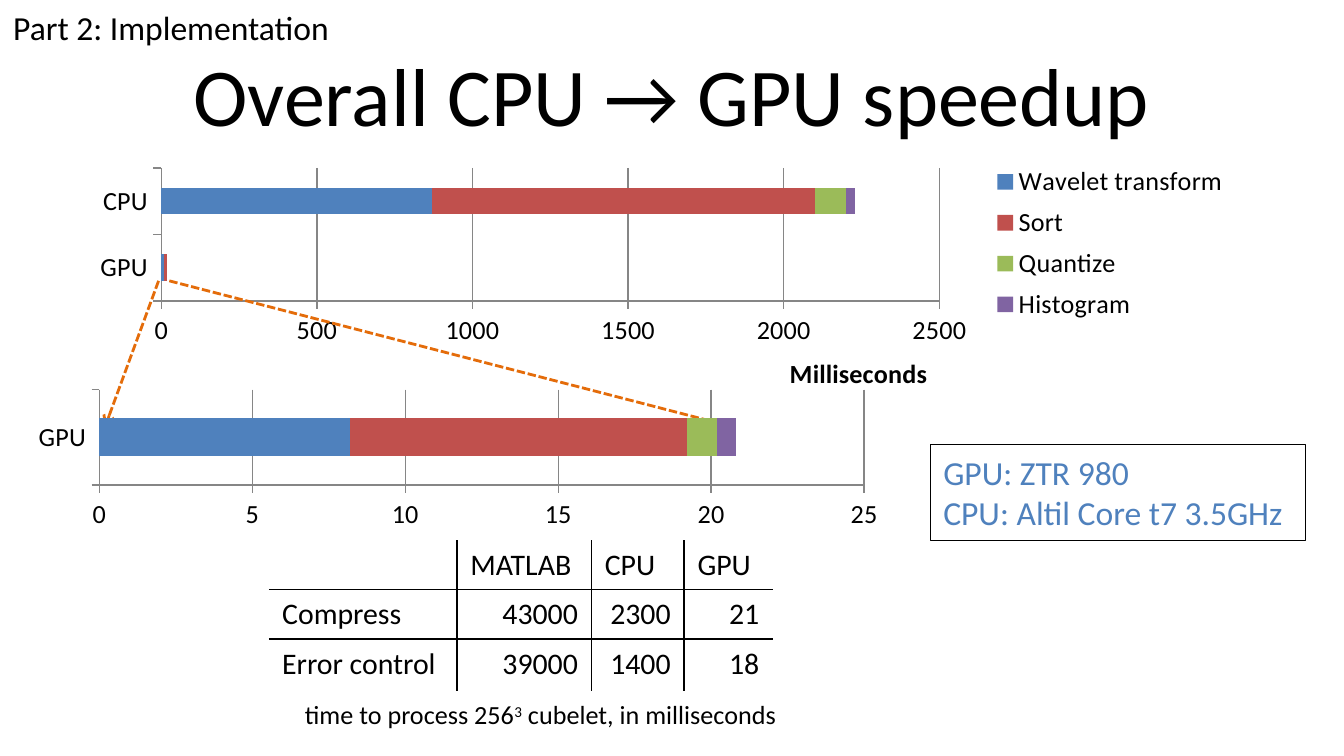
from dataclasses import dataclass

from lxml import etree
from pptx import Presentation
from pptx.chart.data import CategoryChartData
from pptx.dml.color import RGBColor
from pptx.enum.chart import XL_CHART_TYPE, XL_LEGEND_POSITION, XL_TICK_MARK
from pptx.enum.dml import MSO_LINE
from pptx.enum.shapes import MSO_CONNECTOR
from pptx.enum.text import MSO_ANCHOR, MSO_AUTO_SIZE, PP_ALIGN
from pptx.oxml.ns import qn
from pptx.util import Inches, Pt

BAR_STACKED = XL_CHART_TYPE.BAR_STACKED
LEGEND_RIGHT = XL_LEGEND_POSITION.RIGHT
TICK_OUTSIDE = XL_TICK_MARK.OUTSIDE
SQUARE_DOT = MSO_LINE.SQUARE_DOT
STRAIGHT = MSO_CONNECTOR.STRAIGHT
MIDDLE = MSO_ANCHOR.MIDDLE
FIT_SHAPE = MSO_AUTO_SIZE.SHAPE_TO_FIT_TEXT
CENTER, RIGHT = PP_ALIGN.CENTER, PP_ALIGN.RIGHT
FONT = "Calibri"
BLACK = RGBColor(0x00, 0x00, 0x00)
WHITE = RGBColor(0xFF, 0xFF, 0xFF)
GREY = RGBColor(0x86, 0x86, 0x86)
ORANGE = RGBColor(0xE4, 0x6C, 0x0A)
BLUE = RGBColor(0x4F, 0x81, 0xBD)
RED = RGBColor(0xC0, 0x50, 0x4D)
GREEN = RGBColor(0x9B, 0xBB, 0x59)
PURPLE = RGBColor(0x80, 0x64, 0xA2)
SERIES_COLORS = (BLUE, RED, GREEN, PURPLE)


@dataclass
class Box:
    left: float
    top: float
    width: float = 0
    height: float = 0

    def lengths(self) -> tuple:
        return tuple(Inches(n) for n in (self.left, self.top, self.width, self.height))


@dataclass
class BarChart:
    box: Box
    plot: Box
    categories: tuple
    series: dict
    maximum: float
    step: float


STAGES = BarChart(
    Box(0.5, 1.07, 8.82, 1.91), Box(1.2, 1.25, 5.79, 0.99), ("GPU", "CPU"),
    {"Wavelet transform": (10, 870), "Sort": (10, 1230),
     "Quantize": (0, 100), "Histogram": (0, 30)}, 2500, 500)
GPU_DETAIL = BarChart(
    Box(0.17, 2.88, 6.5, 1.09), Box(0.74, 2.9, 5.69, 0.71), ("GPU",),
    {"Series 1": (8.2,), "Series 2": (11,), "Series 3": (1,), "Series 4": (0.6,)}, 25, 5)
LEGEND = Box(7.29, 1.17, 1.94, 1.28)
AXIS_TITLE = Box(5.84, 2.61)
ZOOM_LINES = (((1.26, 2.09), (5.47, 3.18)), ((1.18, 2.09), (0.78, 3.18)))
TIMINGS = (("", "MATLAB", "CPU", "GPU"),
           ("Compress", "43000", "2300", "21"),
           ("Error control", "39000", "1400", "18"))
COLUMN_WIDTHS = (1.4, 1, 0.69, 0.66)
ROW_HEIGHTS = (0.35, 0.35, 0.39)


def style_font(font, size: float, color: RGBColor = BLACK) -> None:
    font.name, font.size, font.color.rgb = FONT, Pt(size), color


def place_part(part, index: int, box: Box, chart_box: Box) -> None:
    """Lay out a chart part at a box given in slide inches."""
    for old in part.findall(qn("c:layout")):
        part.remove(old)
    layout = etree.Element(qn("c:layout"))
    manual = etree.SubElement(layout, qn("c:manualLayout"))
    if part.tag == qn("c:plotArea"):
        etree.SubElement(manual, qn("c:layoutTarget")).set("val", "inner")
    values = {"xMode": "edge", "yMode": "edge",
              "x": (box.left - chart_box.left) / chart_box.width,
              "y": (box.top - chart_box.top) / chart_box.height}
    if box.width:
        values["w"] = box.width / chart_box.width
        values["h"] = box.height / chart_box.height
    for key, value in values.items():
        etree.SubElement(manual, qn(f"c:{key}")).set("val", str(value))
    part.insert(index, layout)


def add_bar_chart(page, spec: BarChart):
    data = CategoryChartData()
    data.categories = spec.categories
    for name, values in spec.series.items():
        data.add_series(name, values)
    chart = page.shapes.add_chart(BAR_STACKED, *spec.box.lengths(), data).chart
    chart.has_title = chart.has_legend = False
    style_font(chart.font, 14)
    bars = chart.plots[0]
    bars.gap_width, bars.overlap, bars.vary_by_categories = 150, 100, False
    for series, color in zip(bars.series, SERIES_COLORS):
        series.format.fill.solid()
        series.format.fill.fore_color.rgb = color
    for axis in (chart.category_axis, chart.value_axis):
        axis.major_tick_mark = TICK_OUTSIDE
        axis.format.line.color.rgb = GREY
        style_font(axis.tick_labels.font, 14)
    scale = chart.value_axis
    scale.minimum_scale, scale.maximum_scale, scale.major_unit = 0, spec.maximum, spec.step
    scale.has_major_gridlines = True
    scale.major_gridlines.format.line.color.rgb = GREY
    place_part(chart.element.find(".//" + qn("c:plotArea")), 0, spec.plot, spec.box)
    return chart


def add_text(page, box: Box, lines: tuple, size: float, color: RGBColor = BLACK):
    shape = page.shapes.add_textbox(*box.lengths())
    frame = shape.text_frame
    frame.text = "\n".join(lines)
    frame.word_wrap, frame.auto_size = False, FIT_SHAPE
    for para in frame.paragraphs:
        for span in para.runs:
            style_font(span.font, size, color)
    return shape


def add_zoom_line(page, start: tuple, end: tuple) -> None:
    line = page.shapes.add_connector(STRAIGHT, *(Inches(n) for n in start + end))
    line.line.color.rgb, line.line.width = ORANGE, Pt(1.5)
    line.line.dash_style = SQUARE_DOT
    etree.SubElement(line.line._get_or_add_ln(), qn("a:tailEnd")).set("type", "arrow")
    etree.SubElement(line.element.spPr, qn("a:effectLst"))


def set_borders(cell, sides: dict) -> None:
    """Draw a black line on each side marked true, and none on the rest."""
    properties = cell._tc.get_or_add_tcPr()
    for index, (side, shown) in enumerate(sides.items()):
        border = etree.Element(qn(f"a:ln{side}"), w=str(Pt(1)))
        if shown:
            fill = etree.SubElement(border, qn("a:solidFill"))
            etree.SubElement(fill, qn("a:srgbClr")).set("val", str(BLACK))
        else:
            etree.SubElement(border, qn("a:noFill"))
        properties.insert(index, border)


def add_timing_table(page, box: Box) -> None:
    rows, columns = len(TIMINGS), len(TIMINGS[0])
    table = page.shapes.add_table(rows, columns, *box.lengths()).table
    table.first_row = table.horz_banding = False
    for column, width in zip(table.columns, COLUMN_WIDTHS):
        column.width = Inches(width)
    for r, (height, texts) in enumerate(zip(ROW_HEIGHTS, TIMINGS)):
        table.rows[r].height = Inches(height)
        for c, text in enumerate(texts):
            cell = table.cell(r, c)
            cell.text = text
            cell.fill.solid()
            cell.fill.fore_color.rgb = WHITE
            para = cell.text_frame.paragraphs[0]
            style_font(para.font, 16)
            for span in para.runs:
                style_font(span.font, 16)
            if r and c:
                para.alignment = RIGHT
            set_borders(cell, {"L": c > 0, "R": c < columns - 1,
                               "T": r > 0, "B": r < rows - 1})


def main() -> None:
    deck = Presentation()
    deck.slide_width, deck.slide_height = Inches(10), Inches(10 * 9 / 16)
    page = deck.slides.add_slide(deck.slide_layouts[5])

    # CPU and GPU stages, with legend and axis title
    chart = add_bar_chart(page, STAGES)
    chart.has_legend = True
    chart.legend.position = LEGEND_RIGHT
    chart.legend.include_in_layout = False
    style_font(chart.legend.font, 14)
    place_part(chart.element.find(".//" + qn("c:legend")), 1, LEGEND, STAGES.box)
    unit = chart.value_axis.axis_title.text_frame
    unit.text = "Milliseconds"
    unit_font = unit.paragraphs[0].runs[0].font
    style_font(unit_font, 14)
    unit_font.bold = True
    place_part(chart.element.find(".//" + qn("c:valAx") + "/" + qn("c:title")), 1,
               AXIS_TITLE, STAGES.box)

    # Title
    title = page.shapes.title
    title.left, title.top, title.width, title.height = Box(0.5, 0.23, 9, 0.94).lengths()
    title.text_frame.text = "Overall CPU → GPU speedup"
    title.text_frame.vertical_anchor = MIDDLE
    heading = title.text_frame.paragraphs[0]
    heading.alignment = CENTER
    style_font(heading.runs[0].font, 44)

    # Hardware
    hardware = add_text(page, Box(6.92, 3.31, 2.79, 0.71),
                        ("GPU: ZTR 980", "CPU: Altil Core t7 3.5GHz"), 18, BLUE)
    hardware.line.color.rgb, hardware.line.width = BLACK, Pt(0.5)

    # Zoom into the GPU bar
    for start, end in ZOOM_LINES:
        add_zoom_line(page, start, end)
    add_bar_chart(page, GPU_DETAIL)

    # Section label, timing table and its caption
    add_text(page, Box(0, 0, 2.58, 0.4), ("Part 2: Implementation",), 18)
    add_timing_table(page, Box(2, 4.02, sum(COLUMN_WIDTHS), sum(ROW_HEIGHTS)))
    caption = add_text(page, Box(2.17, 5.15, 3.75, 0.34), ("time to process 256",), 14)
    para = caption.text_frame.paragraphs[0]
    for text in ("3", " cubelet, in milliseconds"):
        span = para.add_run()
        span.text = text
        style_font(span.font, 14)
    para.runs[1].font._element.set("baseline", "30000")

    deck.save("out.pptx")


if __name__ == "__main__":
    main()
